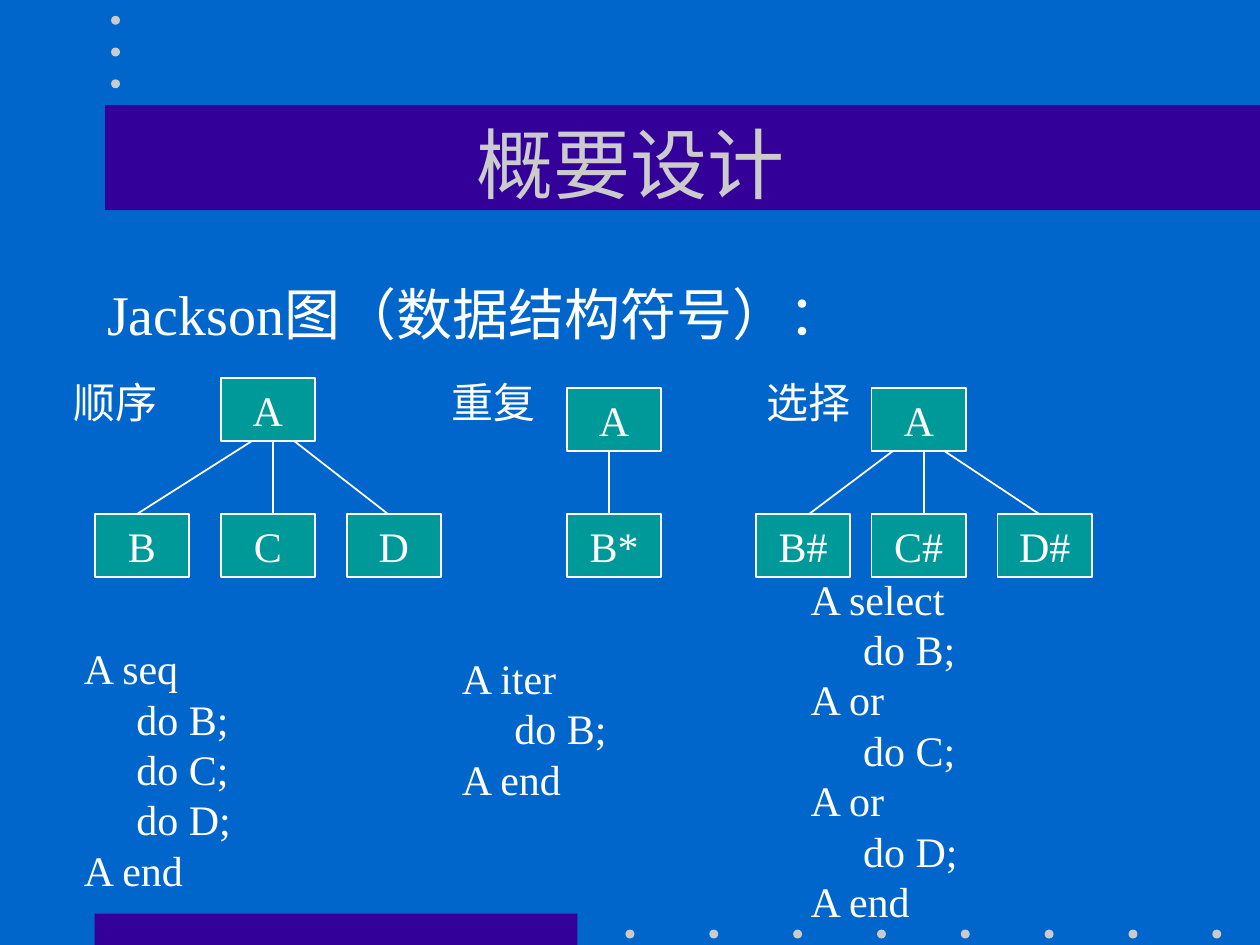
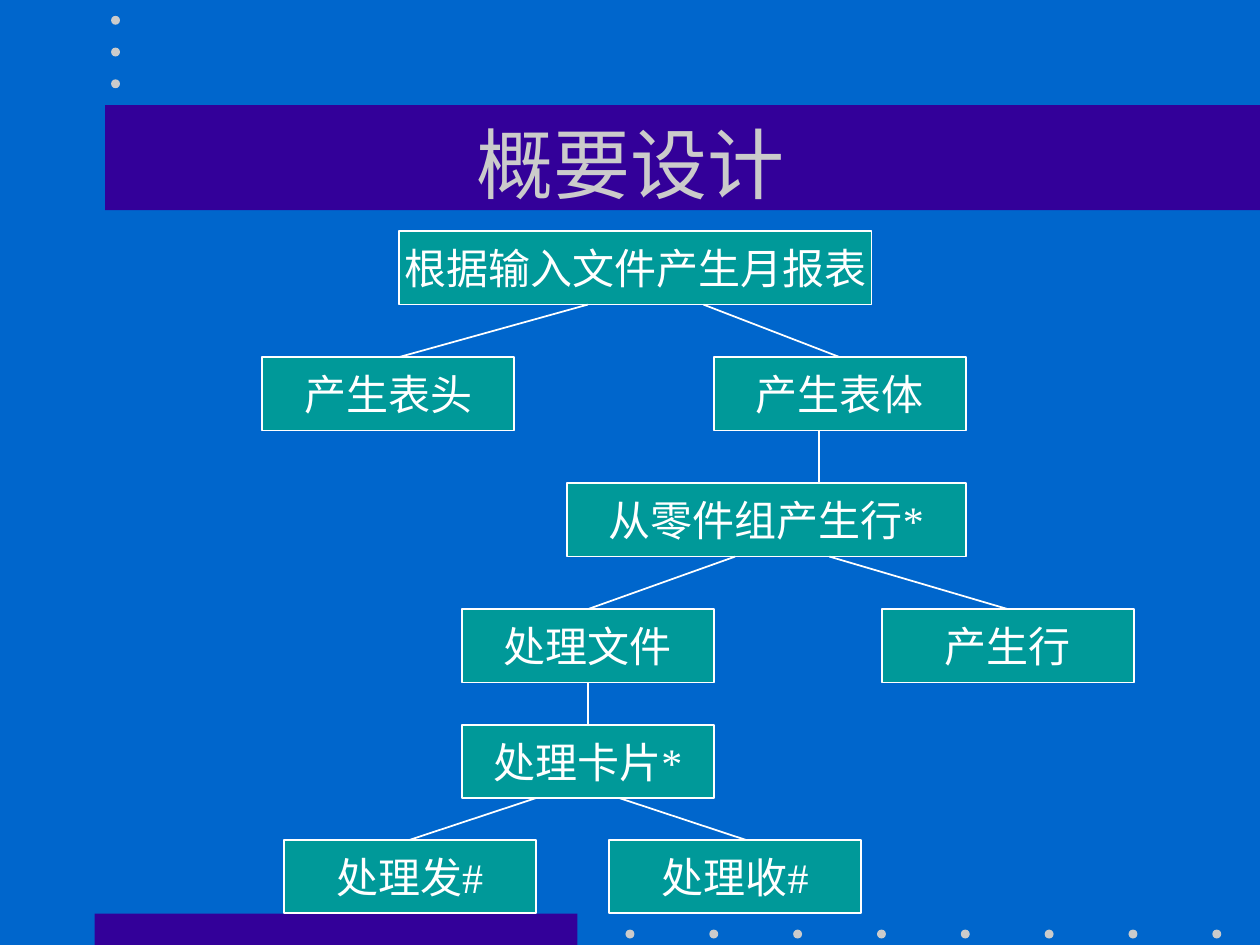
from dataclasses import dataclass
from typing import NamedTuple, Optional

from lxml.etree import SubElement
from pptx import Presentation
from pptx.dml.color import RGBColor
from pptx.enum.shapes import MSO_CONNECTOR as Connector, MSO_SHAPE as Preset
from pptx.enum.text import MSO_ANCHOR as Anchor, MSO_AUTO_SIZE as AutoSize, PP_ALIGN as Align
from pptx.oxml.ns import qn
from pptx.util import Cm, Pt


@dataclass(frozen=True)
class Theme:
    page: RGBColor = RGBColor(0x00, 0x66, 0xCC)
    band: RGBColor = RGBColor(0x33, 0x00, 0x99)
    dot: RGBColor = RGBColor(0xCB, 0xCB, 0xCB)
    box: RGBColor = RGBColor(0x00, 0x99, 0x99)
    ink: RGBColor = RGBColor(0xFF, 0xFF, 0xFF)
    font: str = "Times New Roman"
    title_size: Pt = Pt(44)
    heading_size: Pt = Pt(32)
    text_size: Pt = Pt(24)
    line_width: Pt = Pt(1)


THEME = Theme()
TOP, BOTTOM = 0, 2


class Area(NamedTuple):
    """A rectangle in centimetres."""
    left: float
    top: float
    width: float
    height: float

    def lengths(self) -> list:
        return [Cm(value) for value in self]


class Node(NamedTuple):
    text: str
    area: Area


class Branch(NamedTuple):
    """A line between two nodes; an x of None means the middle of the side."""
    parent: int
    child: int
    start_x: Optional[float] = None
    end_x: Optional[float] = None


class Structure(NamedTuple):
    """One kind of data structure: its label, tree and pseudocode."""
    label: str
    label_left: float
    nodes: list
    branches: list
    code_left: float
    code_top: float
    code: list


TITLE = "概要设计"
TITLE_AREA = Area(1.91, 1.69, 21.59, 3.18)
HEADING_AREA = Area(1.91, 5.51, 21.59, 2)
BANDS = [Area(1.91, 18.42, 9.73, 0.63), Area(2.12, 2.12, 23.28, 2.12)]
DOT = 0.18
DOTS = ([Area(12.61 + 1.69 * i, 18.74, DOT, DOT) for i in range(8)]
        + [Area(2.24, 0.32 + 0.64 * i, DOT, DOT) for i in range(3)])
LABEL_TOP = 7.47
LABEL_WIDTH, CODE_WIDTH = 2.4, 4
LINE_HEIGHT, PADDING = 1.02, 0.25
CODE_INDENT = Cm(1.06)


def small(text: str, left: float, top: float) -> Node:
    return Node(text, Area(left, top, 1.9, 1.27))


def wide(text: str, left: float, top: float, width: float = 5.08) -> Node:
    return Node(text, Area(left, top, width, 1.48))


PARENT_TOP, CHILD_TOP = 7.83, 10.37
STRUCTURES = [
    Structure(
        "顺序", 1.23,
        [small("A", 4.45, 7.62)]
        + [small(name, 1.91 + 2.54 * i, CHILD_TOP) for i, name in enumerate("BCD")],
        [Branch(0, 1, 5.08, 2.75), Branch(0, 2, 5.5, 5.5), Branch(0, 3, 5.93, 7.83)],
        1.44, 12.83, ["A seq", "\tdo B;", "\tdo C;", "\tdo D;", "A end"]),
    Structure(
        "重复", 8.85,
        [small("A", 11.43, PARENT_TOP), small("B*", 11.43, CHILD_TOP)],
        [Branch(0, 1, 12.28, 12.28)],
        9.06, 13.03, ["A iter", "\tdo B;", "A end"]),
    Structure(
        "选择", 15.2,
        [small("A", 17.57, PARENT_TOP), small("B#", 15.24, CHILD_TOP),
         small("C#", 17.57, CHILD_TOP), small("D#", 20.11, CHILD_TOP)],
        [Branch(0, 1, 17.99, 16.3), Branch(0, 2, 18.63, 18.63), Branch(0, 3, 19.05, 20.96)],
        16.09, 11.43,
        ["A select", "\tdo B;", "A or", "\tdo C;", "A or", "\tdo D;", "A end"]),
]

REPORT_NODES = [
    wide("根据输入文件产生月报表", 8.04, 4.66, 9.53),
    wide("产生表头", 5.29, 7.2),
    wide("产生表体", 14.39, 7.2),
    wide("从零件组产生行*", 11.43, 9.74, 8.04),
    wide("处理文件", 9.31, 12.28),
    wide("产生行", 17.78, 12.28),
    wide("处理卡片*", 9.31, 14.61),
    wide("处理发#", 5.72, 16.93),
    wide("处理收#", 12.28, 16.93),
]
REPORT_BRANCHES = [
    Branch(0, 1, 11.85, 8.04), Branch(0, 2, 14.18), Branch(2, 3, 16.51, 16.51),
    Branch(3, 4, 14.82), Branch(3, 5, 16.72), Branch(4, 6),
    Branch(6, 7, 10.8), Branch(6, 8, 12.49, 15.03),
]


def apply(target, formats: dict) -> None:
    for name, value in formats.items():
        setattr(target, name, value)


def write(frame, lines: list, size: Pt = THEME.text_size,
          color: RGBColor = THEME.ink, align: Align = Align.LEFT) -> None:
    """Fill a text frame, one paragraph a line; a leading tab means an indent."""
    for index, line in enumerate(lines):
        para = frame.add_paragraph() if index else frame.paragraphs[0]
        para.alignment = align
        if line.startswith("\t"):
            properties = para._p.get_or_add_pPr()
            properties.set("marL", str(int(CODE_INDENT)))
            properties.set("indent", "0")
        span = para.add_run()
        span.text = line.lstrip("\t")
        apply(span.font, {"name": THEME.font, "size": size})
        span.font.color.rgb = color


def add_plain(page, preset: Preset, area: Area, color: RGBColor):
    shape = page.shapes.add_shape(preset, *area.lengths())
    shape.shadow.inherit = False
    shape.fill.solid()
    shape.fill.fore_color.rgb = color
    shape.line.fill.background()
    return shape


def add_text(page, area: Area, lines: list, size: Pt = THEME.text_size):
    box = page.shapes.add_textbox(*area.lengths())
    apply(box.text_frame, {"word_wrap": True, "auto_size": AutoSize.NONE})
    write(box.text_frame, lines, size)
    return box


def add_node(page, node: Node):
    box = add_plain(page, Preset.RECTANGLE, node.area, THEME.box)
    box.line.color.rgb = THEME.ink
    box.line.width = THEME.line_width
    apply(box.text_frame, {"word_wrap": False, "vertical_anchor": Anchor.MIDDLE})
    write(box.text_frame, [node.text], align=Align.CENTER)
    return box


def add_tree(page, nodes: list, branches: list) -> None:
    boxes = [add_node(page, node) for node in nodes]
    for branch in branches:
        parent, child = boxes[branch.parent], boxes[branch.child]
        line = page.shapes.add_connector(
            Connector.STRAIGHT,
            Cm(branch.start_x or 0), parent.top + parent.height,
            Cm(branch.end_x or 0), child.top)
        if branch.start_x is None:
            line.begin_connect(parent, BOTTOM)
        if branch.end_x is None:
            line.end_connect(child, TOP)
        line.line.color.rgb = THEME.ink
        line.line.width = THEME.line_width
        SubElement(line.element.spPr, qn("a:effectLst"))


def add_structure(page, item: Structure) -> None:
    add_tree(page, item.nodes, item.branches)
    add_text(page, Area(item.label_left, LABEL_TOP, LABEL_WIDTH, LINE_HEIGHT + PADDING),
             [item.label])
    height = LINE_HEIGHT * len(item.code) + PADDING
    add_text(page, Area(item.code_left, item.code_top, CODE_WIDTH, height), item.code)


def decorate(layout, page) -> None:
    """Give the layout the bands and dots, drawn on a page and then moved."""
    for holder in list(layout.placeholders)[1:]:
        layout.shapes.element.remove(holder.element)
    shapes = [add_plain(page, Preset.RECTANGLE, area, THEME.band) for area in BANDS]
    shapes += [add_plain(page, Preset.OVAL, area, THEME.dot) for area in DOTS]
    for shape in reversed(shapes):
        layout.shapes.element.insert(2, shape.element)


def add_page(deck, layout):
    page = deck.slides.add_slide(layout)
    title = page.shapes.title
    apply(title, dict(zip(Area._fields, TITLE_AREA.lengths())))
    title.text_frame.vertical_anchor = Anchor.MIDDLE
    write(title.text_frame, [TITLE], THEME.title_size, THEME.dot, Align.CENTER)
    return page


def main() -> None:
    deck = Presentation()
    apply(deck, {"slide_width": Cm(25.4), "slide_height": Cm(19.05)})
    background = deck.slide_master.background.fill
    background.solid()
    background.fore_color.rgb = THEME.page
    layout = deck.slide_layouts.get_by_name("Title Only")

    symbols = add_page(deck, layout)
    decorate(layout, symbols)
    heading = add_text(symbols, HEADING_AREA, ["Jackson图（数据结构符号）："],
                       THEME.heading_size)
    heading.text_frame.paragraphs[0].space_before = Pt(8)
    for item in STRUCTURES:
        add_structure(symbols, item)

    report = add_page(deck, layout)
    add_tree(report, REPORT_NODES, REPORT_BRANCHES)

    deck.save("out.pptx")


if __name__ == "__main__":
    main()
